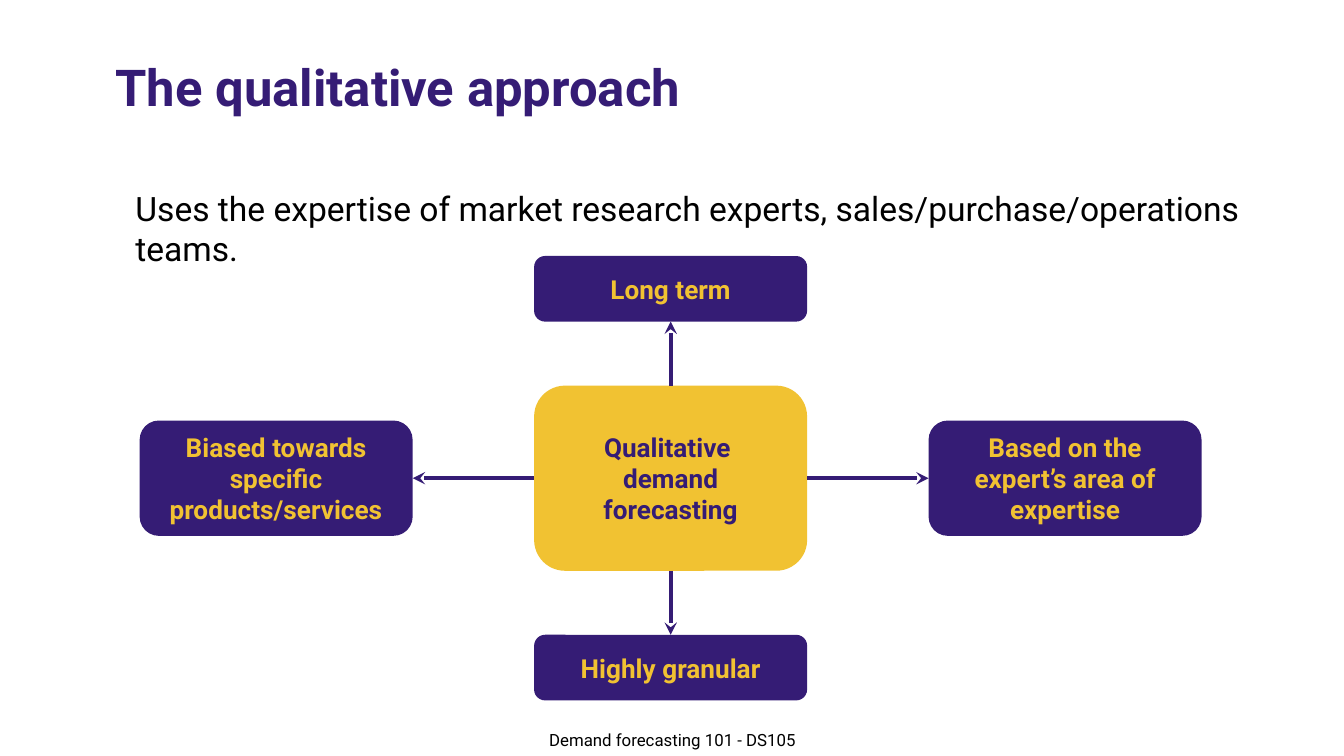
from lxml.etree import SubElement
from pptx import Presentation
from pptx.dml.color import RGBColor
from pptx.enum.shapes import MSO_CONNECTOR as Line, MSO_SHAPE as Shape
from pptx.enum.text import MSO_ANCHOR as Anchor, MSO_AUTO_SIZE as Fit, PP_ALIGN as Align
from pptx.oxml.ns import qn
from pptx.util import Cm, Pt

FONT = "Roboto"
PURPLE, GOLD, BLACK = "351C75", "F1C232", "000000"
INSET = Cm(0.25)


def colour(target, value):
    target.rgb = RGBColor.from_string(value)


def fill_text(shape, text, size, ink, bold=False, align=Align.LEFT, anchor=Anchor.TOP):
    frame = shape.text_frame
    frame.word_wrap = True
    frame.auto_size = Fit.NONE
    frame.vertical_anchor = anchor
    frame.margin_left = frame.margin_right = INSET
    frame.margin_top = frame.margin_bottom = INSET
    frame.text = text
    for para in frame.paragraphs:
        para.alignment = align
        para.space_before = Pt(0)
        for span in para.runs:
            span.font.name = FONT
            span.font.size = Pt(size)
            span.font.bold = bold
            colour(span.font.color, ink)


def place(shape, left, top, width, height):
    shape.left, shape.top = Cm(left), Cm(top)
    shape.width, shape.height = Cm(width), Cm(height)


def add_title(page, text, box):
    place(page.shapes.title, *box)
    fill_text(page.shapes.title, text, 27.2, PURPLE, bold=True)


def add_statement(page, text, box):
    body = page.placeholders[1]
    place(body, *box)
    fill_text(body, text, 18, BLACK)
    for para in body.text_frame.paragraphs:
        props = para._p.get_or_add_pPr()
        props.set("marL", "0")
        props.set("indent", "0")
        SubElement(props, qn("a:buNone"))


def add_footer(page, text, box):
    footer = page.shapes.add_textbox(*map(Cm, box))
    fill_text(footer, text, 9, BLACK, align=Align.CENTER)


def add_card(page, text, centre, size, fill, ink):
    (x, y), (width, height) = centre, size
    card = page.shapes.add_shape(
        Shape.ROUNDED_RECTANGLE, Cm(x - width / 2), Cm(y - height / 2), Cm(width), Cm(height))
    card.shadow.inherit = False
    card.fill.solid()
    colour(card.fill.fore_color, fill)
    card.line.fill.background()
    fill_text(card, text, 14, ink, bold=True, align=Align.CENTER, anchor=Anchor.MIDDLE)


def add_arrow(page, start, end):
    arrow = page.shapes.add_connector(Line.STRAIGHT, *map(Cm, (*start, *end)))
    colour(arrow.line.color, PURPLE)
    arrow.line.width = Pt(2.25)
    SubElement(arrow.line._get_or_add_ln(), qn("a:tailEnd"), type="stealth")
    SubElement(arrow._element.spPr, qn("a:effectLst"))


def add_hub_diagram(page, hub_text, spokes, box):
    """Hub in the middle of the box, one card at the middle of each named side."""
    left, top, width, height = box
    x, y = left + width / 2, top + height / 2
    card_width, hub_height = 5.16, 3.5
    add_card(page, hub_text, (x, y), (card_width, hub_height), GOLD, PURPLE)
    for (across, down), text in spokes.items():
        card_height = 2.18 if across else 1.24
        centre = (x + across * (width - card_width) / 2,
                  y + down * (height - card_height) / 2)
        add_card(page, text, centre, (card_width, card_height), PURPLE, GOLD)
        start = (x + across * card_width / 2, y + down * hub_height / 2)
        end = (centre[0] - across * card_width / 2, centre[1] - down * card_height / 2)
        add_arrow(page, start, end)


def main():
    deck = Presentation()
    deck.slide_width, deck.slide_height = Cm(25.4), Cm(14.29)
    page = deck.slides.add_slide(deck.slide_layouts[1])
    add_title(page, "The qualitative approach", (1.93, 0.81, 23.67, 1.6))
    add_footer(page, "Demand forecasting 101 - DS105", (8.64, 13.54, 8.13, 0.89))
    add_statement(
        page,
        "Uses the expertise of market research experts, sales/purchase/operations teams.",
        (2.31, 3.3, 22.48, 3.99))
    spokes = {
        (0, 1): "Highly granular",
        (0, -1): "Long term",
        (-1, 0): "Biased towards specific products/services",
        (1, 0): "Based on the expert’s area of expertise",
    }
    add_hub_diagram(page, "Qualitative \ndemand forecasting", spokes, (2.64, 4.84, 20.07, 8.4))
    deck.save("out.pptx")


if __name__ == "__main__":
    main()
